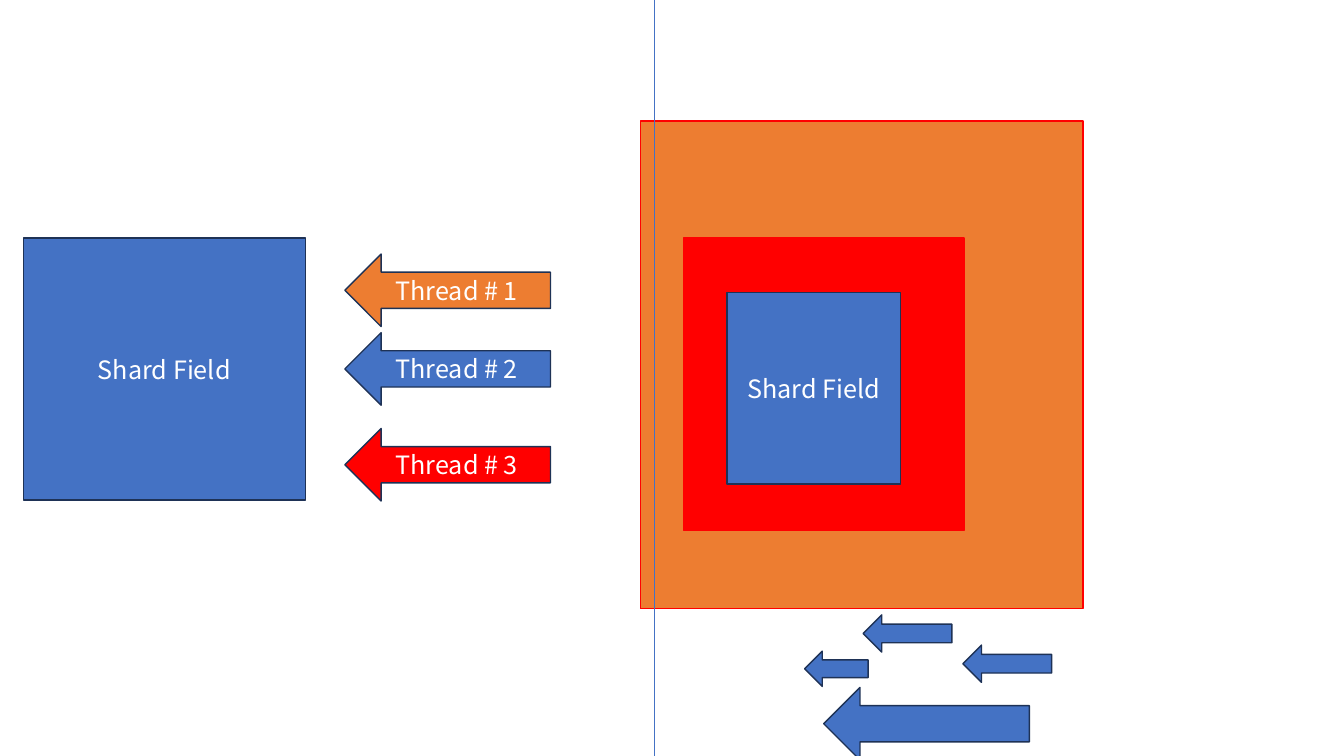
import pptx
import pptx.dml.color
import pptx.enum.shapes
import pptx.enum.text
import pptx.util

SLIDE_WIDTH = pptx.util.Inches(13.33)
SLIDE_HEIGHT = pptx.util.Inches(7.5)
COLUMN = SLIDE_WIDTH / 100
ROW = SLIDE_HEIGHT / 100

BLUE, ORANGE, RED = "4472C4", "ED7D31", "FF0000"
OUTLINE, WHITE = "1E3256", "FFFFFF"
FONT_FORMAT = {"name": "Noto Sans CJK KR", "size": pptx.util.Pt(18)}

SHAPES = pptx.enum.shapes.MSO_SHAPE
LARGE_ARROW = (15.3, 9.6)
SMALL_ARROW = (6.6, 4.93)


def columns(count):
    return round(count * COLUMN)


def rows(count):
    return round(count * ROW)


def paint(color_format, color):
    color_format.rgb = pptx.dml.color.RGBColor.from_string(color)


def add_label(shape, text):
    frame = shape.text_frame
    frame.word_wrap = True
    frame.vertical_anchor = pptx.enum.text.MSO_ANCHOR.MIDDLE
    para = frame.paragraphs[0]
    para.alignment = pptx.enum.text.PP_ALIGN.CENTER
    span = para.add_run()
    span.text = text
    for name, value in FONT_FORMAT.items():
        setattr(span.font, name, value)
    paint(span.font.color, WHITE)


def add_block(page, kind, place, size, fill, line=OUTLINE, text=""):
    """Draw a filled shape; place and size are in columns and rows."""
    shape = page.shapes.add_shape(
        kind, columns(place[0]), rows(place[1]), columns(size[0]), rows(size[1]))
    shape.shadow.inherit = False
    shape.fill.solid()
    paint(shape.fill.fore_color, fill)
    paint(shape.line.color, line)
    shape.line.width = pptx.util.Pt(1)
    if text:
        add_label(shape, text)


def add_arrow(page, place, size, fill=BLUE, text=""):
    add_block(page, SHAPES.LEFT_ARROW, place, size, fill, text=text)


def add_shard_field(page, place, size):
    add_block(page, SHAPES.FLOWCHART_PROCESS, place, size, BLUE, text="Shard Field")


def add_divider(page, column):
    divider = page.shapes.add_connector(
        pptx.enum.shapes.MSO_CONNECTOR.STRAIGHT,
        columns(column), 0, columns(column), SLIDE_HEIGHT)
    paint(divider.line.color, BLUE)
    divider.line.width = pptx.util.Pt(0.5)
    properties = divider.element.spPr
    properties.append(properties.makeelement(pptx.oxml.ns.qn("a:effectLst"), {}))


def main():
    deck = pptx.Presentation()
    deck.slide_width, deck.slide_height = SLIDE_WIDTH, SLIDE_HEIGHT
    page = deck.slides.add_slide(deck.slide_layouts[6])

    add_block(page, SHAPES.RECTANGLE, (47.64, 16), (32.93, 64.53), ORANGE, RED)
    add_block(page, SHAPES.RECTANGLE, (50.86, 31.47), (20.86, 38.67), RED, RED)

    add_shard_field(page, (1.73, 31.47), (21, 34.67))
    threads = [(33.6, ORANGE), (44, BLUE), (56.67, RED)]
    for number, (top, fill) in enumerate(threads, start=1):
        add_arrow(page, (25.66, top), LARGE_ARROW, fill, f"Thread # {number}")

    add_divider(page, 48.69)
    add_shard_field(page, (54.09, 38.67), (12.9, 25.33))

    for place, size in [
        ((59.86, 86.13), (4.73, 4.67)),
        ((64.22, 81.33), SMALL_ARROW),
        ((61.29, 90.93), LARGE_ARROW),
        ((71.64, 85.33), SMALL_ARROW),
    ]:
        add_arrow(page, place, size)

    deck.save("out.pptx")


if __name__ == "__main__":
    main()
